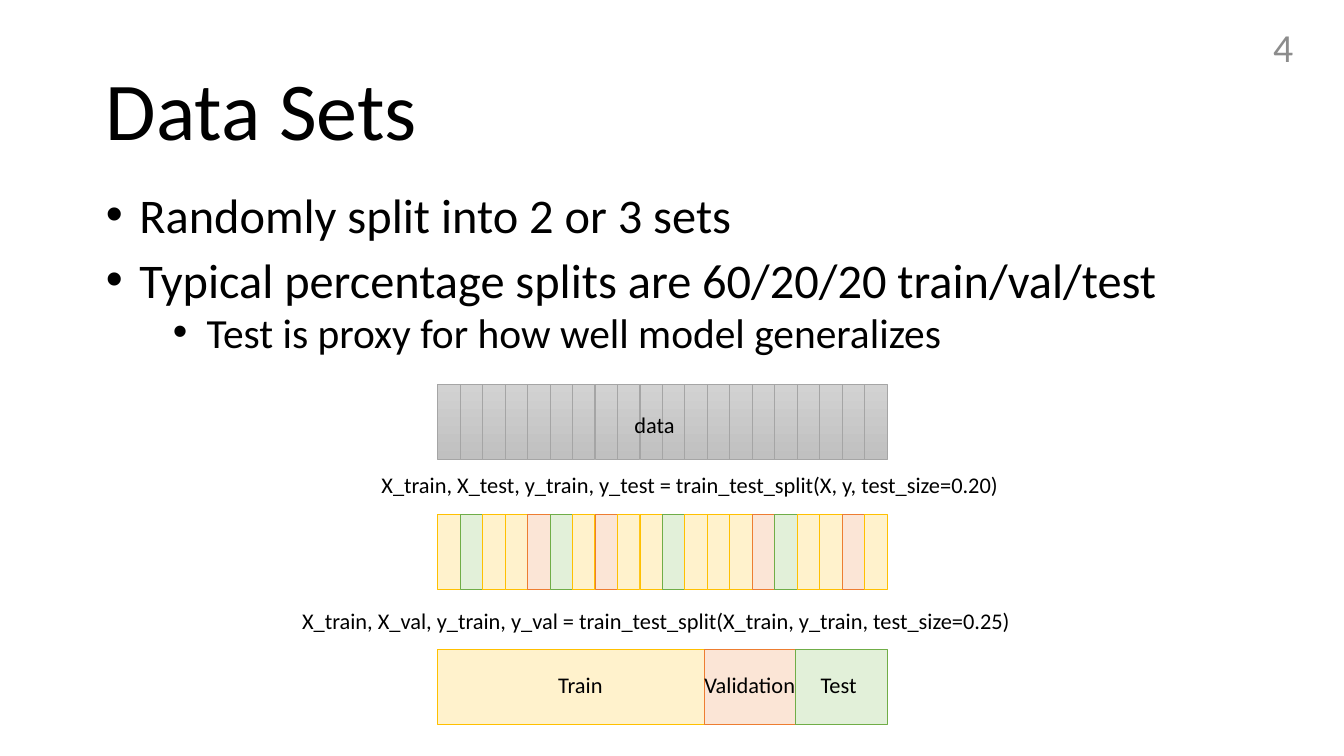
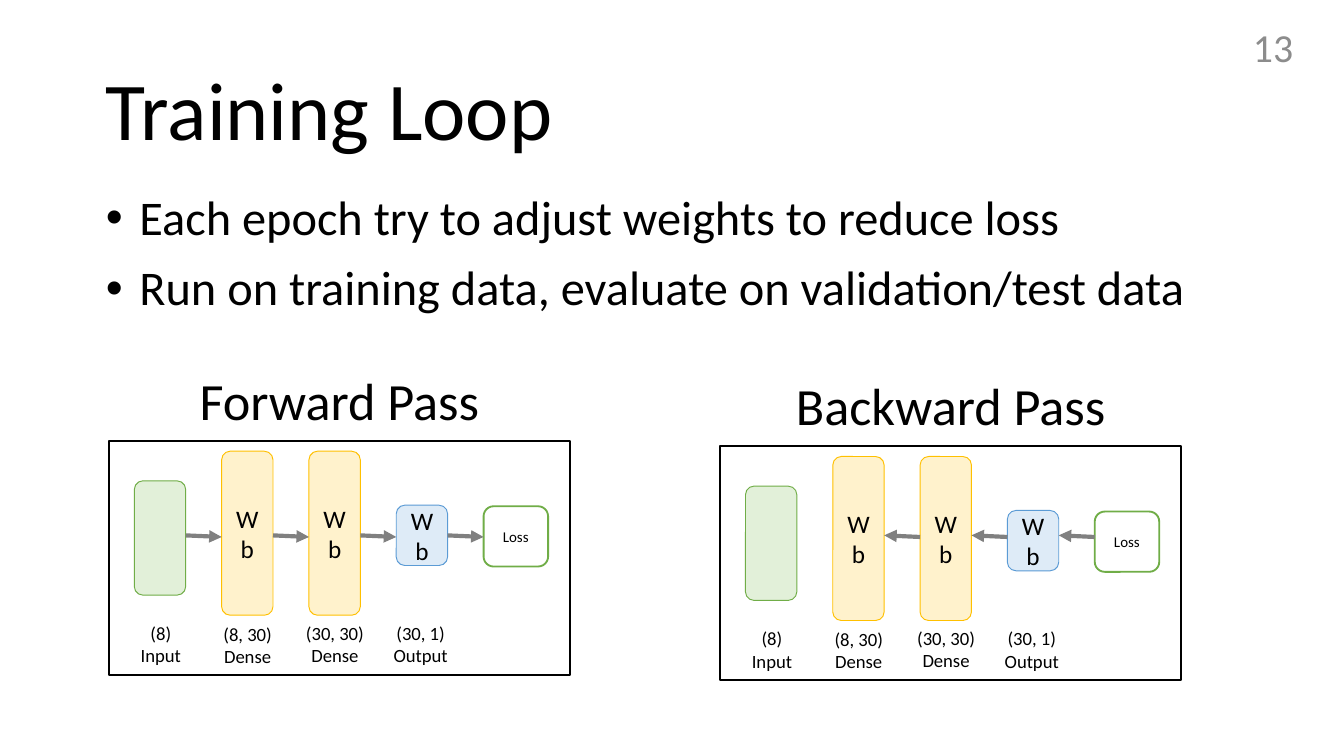
from lxml import etree
from pptx import Presentation
from pptx.dml.color import RGBColor
from pptx.enum.shapes import MSO_CONNECTOR, MSO_SHAPE
from pptx.enum.text import MSO_ANCHOR, PP_ALIGN
from pptx.oxml.ns import qn
from pptx.util import Cm, Pt

RECT, ROUND = MSO_SHAPE.RECTANGLE, MSO_SHAPE.ROUNDED_RECTANGLE
STRAIGHT = MSO_CONNECTOR.STRAIGHT
LEFT, CENTER, RIGHT = PP_ALIGN.LEFT, PP_ALIGN.CENTER, PP_ALIGN.RIGHT
TOP, MIDDLE = MSO_ANCHOR.TOP, MSO_ANCHOR.MIDDLE

FONT = "Calibri"
COLORS = {
    "black": "000000", "white": "FFFFFF", "page": "8C8C8C", "arrow": "808080",
    "yellow": "FFF2CC", "yellow_line": "FFC000",
    "green": "E2F0D9", "green_line": "70AD47",
    "orange": "FBE5D6", "orange_line": "ED7D31",
    "blue": "DEEBF7", "blue_line": "5B9BD5",
    "gray_top": "D2D2D2", "gray_bottom": "C0C0C0", "gray_line": "A5A5A5",
}
INDENT = 0.635
ROW_X, CELL_H, CELL_COUNT = 8.27, 1.42, 20
CELL_W = 8.5 / CELL_COUNT
SPLIT = "TETTVETVTTETTTVETTVT"
SET_COLORS = {"T": "yellow", "V": "orange", "E": "green"}
COLUMN_X, COLUMN_STEP, COLUMN_W = 0.48, 1.65, 0.97
LAYERS = [
    ("green", 0.76, 2.16, ""),
    ("yellow", 0.2, 3.1, "W\nb"),
    ("yellow", 0.2, 3.1, "W\nb"),
    ("blue", 1.22, 1.14, "W\nb"),
]
LAYER_LABELS = [
    (0.28, 3.38, 1.4, 0.94, "(8)\nInput"),
    (1.73, 3.3, 1.78, 1.12, "(8, 30)\nDense"),
    (3.38, 3.28, 1.78, 1.12, "(30, 30)\nDense"),
    (5.05, 3.38, 1.68, 0.94, "(30, 1)\nOutput"),
]


def rgb(name):
    """Return the named colour."""
    return RGBColor.from_string(COLORS[name])


class Deck:
    """Hold the presentation, its style and the current slide."""

    def __init__(self):
        """Start an empty 16:9 presentation."""
        self.prs = Presentation()
        self.prs.slide_width, self.prs.slide_height = Cm(25.4), Cm(14.29)

    def slide(self, title, number):
        """Add a slide with its title and page number."""
        self.current = self.prs.slides.add_slide(self.prs.slide_layouts[6])
        self.shapes = self.current.shapes
        self.text(1.75, 0.76, 21.9, 2.77, title, 44, LEFT, MIDDLE, 0.9)
        self.text(18.97, 0.51, 5.72, 0.76, number, 21.3, RIGHT, MIDDLE, color="page")

    def group(self):
        """Send the following elements to a new group."""
        self.shapes = self.current.shapes.add_group_shape().shapes

    def ungroup(self):
        """Send the following elements to the slide itself."""
        self.shapes = self.current.shapes

    def fill_text(self, tf, text, size, align, anchor, spacing=1.0, color="black"):
        """Fill a text frame with evenly styled paragraphs."""
        tf.text = text
        tf.word_wrap = True
        tf.vertical_anchor = anchor
        for p in tf.paragraphs:
            p.alignment = align
            p.line_spacing = spacing
            for r in p.runs:
                self.style(r, size, color)

    def style(self, r, size, color="black"):
        """Set the font of a run."""
        r.font.name, r.font.size = FONT, Pt(size)
        r.font.color.rgb = rgb(color)

    def text(self, x, y, w, h, text, size, align=CENTER, anchor=TOP, spacing=1.0,
             color="black"):
        """Add a text box."""
        sp = self.shapes.add_textbox(Cm(x), Cm(y), Cm(w), Cm(h))
        self.fill_text(sp.text_frame, text, size, align, anchor, spacing, color)
        return sp

    def code(self, x, y, w, h, text):
        """Add a line of code with a hanging indent."""
        sp = self.text(x, y, w, h, text, 12, LEFT, spacing=0.9)
        self.hang(sp.text_frame.paragraphs[0])

    def hang(self, p, level=0):
        """Give a paragraph a hanging indent."""
        pPr = p._p.get_or_add_pPr()
        pPr.set("marL", str(Cm(INDENT * (1 + 2 * level))))
        pPr.set("indent", str(-Cm(INDENT)))
        return pPr

    def bullets(self, y, h, items, spacing):
        """Add the bulleted body from (text, level) pairs."""
        sp = self.shapes.add_textbox(Cm(1.75), Cm(y), Cm(21.69), Cm(h))
        tf = sp.text_frame
        tf.word_wrap = True
        tf.text = "\n".join(text for text, level in items)
        for i, (p, (text, level)) in enumerate(zip(tf.paragraphs, items)):
            p.level = level
            pPr = self.hang(p, level)
            etree.SubElement(pPr, qn("a:buFont")).set("typeface", "Arial")
            etree.SubElement(pPr, qn("a:buChar")).set("char", "•")
            p.line_spacing = spacing
            if i:
                p.space_before = Pt(5 if level else 10)
            self.style(p.runs[0], 22.2 if level else 25.9)

    def box(self, x, y, w, h, fill, line, kind=RECT, weight=0.5, text="", size=13.5):
        """Add an outlined shape, with centred text if given."""
        sp = self.shapes.add_shape(kind, Cm(x), Cm(y), Cm(w), Cm(h))
        sp.shadow.inherit = False
        if fill == "gray":
            sp.fill.gradient()
            sp.fill.gradient_angle = 270
            for stop, name in zip(sp.fill.gradient_stops, ("gray_top", "gray_bottom")):
                stop.color.rgb = rgb(name)
        else:
            sp.fill.solid()
            sp.fill.fore_color.rgb = rgb(fill)
        sp.line.color.rgb = rgb(line)
        sp.line.width = Pt(weight)
        if text:
            tf = sp.text_frame
            tf.margin_left = tf.margin_right = tf.margin_top = tf.margin_bottom = 0
            self.fill_text(tf, text, size, CENTER, MIDDLE)

    def arrow(self, x1, y1, x2, y2):
        """Add a straight arrow."""
        cn = self.shapes.add_connector(STRAIGHT, Cm(x1), Cm(y1), Cm(x2), Cm(y2))
        cn.line.color.rgb = rgb("arrow")
        cn.line.width = Pt(2.25)
        spPr = cn._element.spPr
        etree.SubElement(spPr.find(qn("a:ln")), qn("a:tailEnd")).set("type", "triangle")
        etree.SubElement(spPr, qn("a:effectLst"))

    def cells(self, y, fills):
        """Add a row of narrow sample cells."""
        for i, fill in enumerate(fills):
            self.box(ROW_X + i * CELL_W, y, CELL_W, CELL_H, fill, fill + "_line")

    def network(self, x, y, heading, forward):
        """Add a framed network diagram with its heading."""
        self.text(x, y - 1.27, 8.71, 1.25, heading, 28, spacing=0.8)
        self.group()
        self.box(x, y, 8.71, 4.43, "white", "black", weight=1)
        for dx, dy, w, h, label in LAYER_LABELS:
            self.text(x + dx, y + dy, w, h, label, 10, anchor=MIDDLE)
        for i, (fill, dy, h, label) in enumerate(LAYERS):
            self.box(x + COLUMN_X + i * COLUMN_STEP, y + dy, COLUMN_W, h,
                     fill, fill + "_line", ROUND, text=label)
        self.box(x + COLUMN_X + 4 * COLUMN_STEP, y + 1.24, 1.22, 1.14,
                 "white", "green_line", ROUND, 1, "Loss", 8)
        for i in range(0 if forward else 1, 4):
            start = x + COLUMN_X + COLUMN_W + i * COLUMN_STEP
            end = start + COLUMN_STEP - COLUMN_W
            if forward:
                self.arrow(start, y + 1.79, end, y + 1.82)
            else:
                self.arrow(end, y + 1.72, start, y + 1.69)
        self.ungroup()


def data_sets(deck):
    """Build the slide on splitting data."""
    deck.slide("Data Sets", "4")
    deck.bullets(3.58, 3.48, [
        ("Randomly split into 2 or 3 sets", 0),
        ("Typical percentage splits are 60/20/20 train/val/test", 0),
        ("Test is proxy for how well model generalizes", 1),
    ], 0.8)
    deck.cells(9.73, [SET_COLORS[s] for s in SPLIT])
    deck.cells(7.26, ["gray"] * CELL_COUNT)
    x = 8.26
    for fill, w in (("yellow", 5.05), ("orange", 1.73), ("green", 1.73)):
        deck.box(x, 12.27, w, CELL_H, fill, fill + "_line")
        x += w
    for x, y, w, label in ((9.98, 12.62, 1.98, "Train"), (12.95, 12.62, 2.44, "Validation"),
                           (14.86, 12.62, 1.98, "Test"), (11.38, 7.7, 1.98, "data")):
        deck.text(x, y, w, 0.84, label, 12, spacing=0.9)
    deck.code(6.96, 8.84, 12.67, 0.89,
              "X_train, X_test, y_train, y_test = train_test_split(X, y, test_size=0.20)")
    deck.code(5.46, 11.4, 14.58, 1.14,
              "X_train, X_val, y_train, y_val = train_test_split(X_train, y_train, test_size=0.25)")


def training_loop(deck):
    """Build the slide on the two passes of training."""
    deck.slide("Training Loop", "13")
    deck.bullets(3.53, 2.97, [
        ("Each epoch try to adjust weights to reduce loss", 0),
        ("Run on training data, evaluate on validation/test data", 0),
    ], 0.9)
    deck.network(2.06, 8.33, "Forward Pass", True)
    deck.network(13.61, 8.43, "Backward Pass", False)


def main():
    """Build and save the slides."""
    deck = Deck()
    data_sets(deck)
    training_loop(deck)
    deck.prs.save("out.pptx")


if __name__ == "__main__":
    main()
